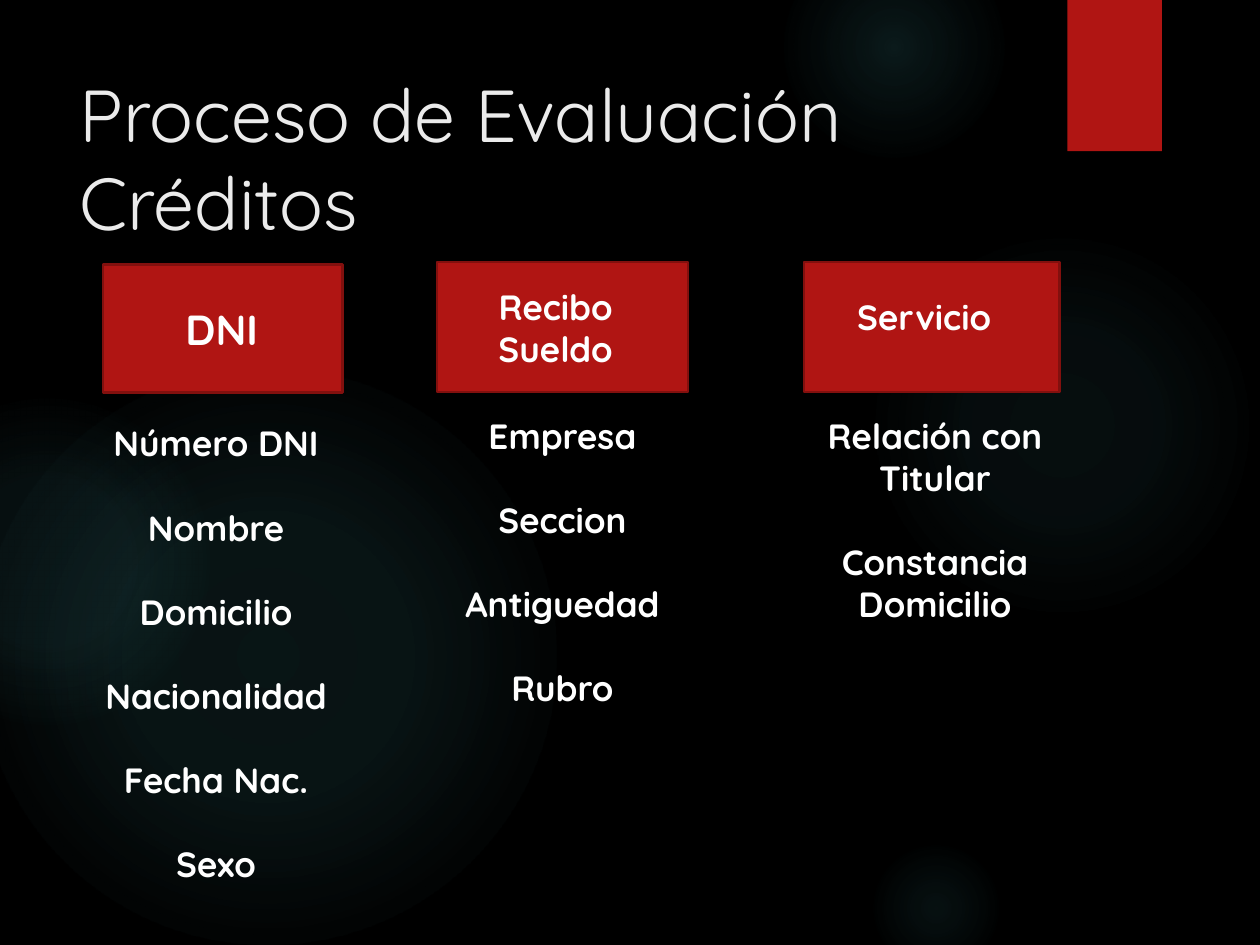
from pptx import Presentation
from pptx.dml.color import RGBColor
from pptx.enum.shapes import MSO_SHAPE as Shape
from pptx.enum.text import PP_ALIGN as Align
from pptx.oxml import parse_xml
from pptx.oxml.ns import nsdecls, qn
from pptx.util import Pt

FONT = "Quicksand"
RED, DARK_RED, WHITE, GLOW = "B01513", "82100E", "FFFFFF", "50B9C1"

GLOWS = [
    (496, 132, 222, [(0, 7), (36, 6), (69, 0)]),
    (448, -36, 126, [(0, 14), (36, 7), (73, 0)]),
    (496, 480, 78, [(0, 9), (36, 5), (66, 0)]),
    (-12, 210, 330, [(0, 11), (36, 10), (75, 0)]),
    (-66, 228, 186, [(0, 8), (36, 8), (72, 0)]),
]

COLUMNS = [
    ((59, 151, 136.8, 73.4), "DNI", 24, (69.8, 169.9, 113.8, 36),
     (49, 237.6, 149, 273.6),
     ["Número DNI", "Nombre", "Domicilio", "Nacionalidad", "Fecha Nac.", "Sexo"]),
    ((249.8, 149.8, 143.3, 74.2), "Recibo Sueldo", 20, (254.9, 159.8, 125.3, 46),
     (249.8, 233.3, 143.3, 177),
     ["Empresa", "Seccion", "Antiguedad", "Rubro"]),
    ((459.4, 149.8, 146.2, 74.2), "Servicio", 20, (446.4, 165.6, 163.4, 31.7),
     (459.4, 233.3, 149.8, 128),
     ["Relación con Titular", "Constancia Domicilio"]),
]


def color(value):
    return RGBColor.from_string(value)


def points(frame):
    return [Pt(length) for length in frame]


def add_glow(page, left, top, size, stops):
    glow = page.shapes.add_shape(Shape.OVAL, *points((left, top, size, size)))
    glow.shadow.inherit = False
    glow.line.fill.background()
    glow.fill.background()
    stop_xml = "".join(
        f'<a:gs pos="{position * 1000}"><a:srgbClr val="{GLOW}">'
        f'<a:alpha val="{opacity * 1000}"/></a:srgbClr></a:gs>'
        for position, opacity in stops
    )
    gradient = parse_xml(
        f'<a:gradFill {nsdecls("a")} rotWithShape="1"><a:gsLst>{stop_xml}</a:gsLst>'
        '<a:path path="circle"><a:fillToRect l="50000" t="50000" r="50000" b="50000"/>'
        "</a:path></a:gradFill>"
    )
    properties = glow._element.spPr
    properties.replace(properties.find(qn("a:noFill")), gradient)


def add_panel(page, frame, outline=None):
    panel = page.shapes.add_shape(Shape.RECTANGLE, *points(frame))
    panel.shadow.inherit = False
    panel.fill.solid()
    panel.fill.fore_color.rgb = color(RED)
    if outline:
        panel.line.color.rgb = color(outline)
        panel.line.width = Pt(1.5)
    else:
        panel.line.fill.background()
    return panel


def add_drop_shadow(panel):
    effects = panel._element.spPr.find(qn("a:effectLst"))
    effects.append(parse_xml(
        f'<a:outerShdw {nsdecls("a")} blurRad="{Pt(3)}" dist="{Pt(2)}" dir="5400000" '
        'rotWithShape="0"><a:srgbClr val="000000"><a:alpha val="45000"/></a:srgbClr>'
        "</a:outerShdw>"
    ))


def add_text(page, frame, lines, size, fill=WHITE, bold=True, align=Align.CENTER, gap=0):
    box = page.shapes.add_textbox(*points(frame))
    text = box.text_frame
    text.word_wrap = True
    for index, line in enumerate(lines):
        para = text.add_paragraph() if index else text.paragraphs[0]
        para.text = line
        para.alignment = align
        para.space_before = Pt(gap if index else 0)
        para.font.name = FONT
        para.font.size = Pt(size)
        para.font.bold = bold
        para.font.color.rgb = color(fill)


def main():
    deck = Presentation()
    deck.slide_width, deck.slide_height = Pt(720), Pt(540)
    page = deck.slides.add_slide(deck.slide_layouts[6])
    page.background.fill.solid()
    page.background.fill.fore_color.rgb = color("000000")

    for glow in GLOWS:
        add_glow(page, *glow)
    add_drop_shadow(add_panel(page, (610, 0, 54, 86.4)))
    add_text(page, (38.2, 36, 555.8, 110), ["Proceso de Evaluación Créditos"], 42,
             fill="EBEBEB", bold=False, align=Align.LEFT)

    for panel, heading, size, heading_frame, list_frame, items in COLUMNS:
        add_panel(page, panel, DARK_RED)
        add_text(page, heading_frame, [heading], size)
        add_text(page, list_frame, items, 20, gap=24)

    deck.save("out.pptx")


if __name__ == "__main__":
    main()
